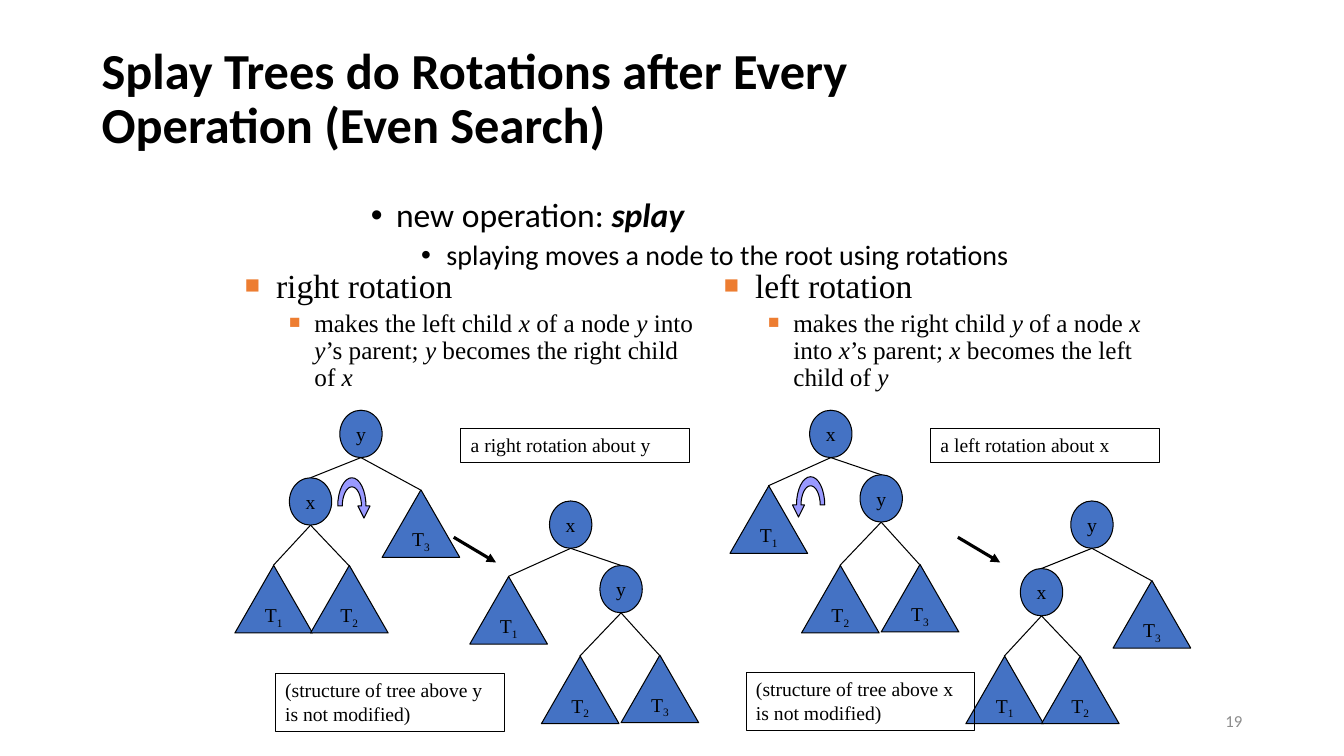
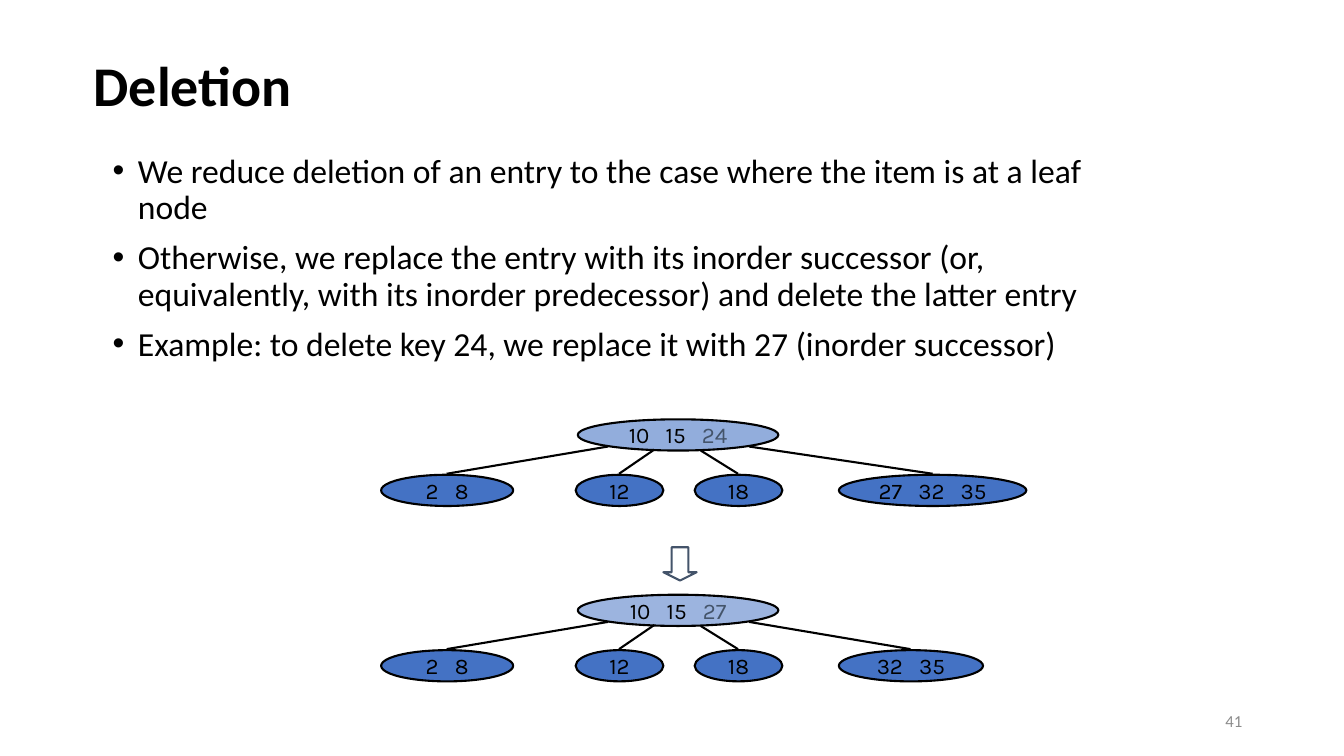
from itertools import cycle
from math import cos, pi, sin

from lxml.etree import SubElement
from pptx import Presentation
from pptx.dml.color import RGBColor
from pptx.enum.shapes import MSO_CONNECTOR as Connector, MSO_SHAPE as Shape
from pptx.enum.text import MSO_ANCHOR as Anchor, PP_ALIGN as Align
from pptx.oxml.ns import qn
from pptx.util import Pt

PX = 9144  # EMU per px, at 100 px to the inch

BLACK = RGBColor(0x00, 0x00, 0x00)
BLUE = RGBColor(0x44, 0x72, 0xC4)
ORANGE = RGBColor(0xED, 0x7D, 0x31)
LILAC = RGBColor(0x99, 0x99, 0xFF)
SLATE = RGBColor(0x44, 0x54, 0x6A)
GREY = RGBColor(0x8C, 0x8C, 0x8C)

# Bullets: character, left indent, hanging indent, colour, percent of text size
DOT = ("•", 25, 25, BLACK, 100)
SUB_DOT = ("•", 75, 25, BLACK, 100)
SQUARE = ("■", 31, 31, ORANGE, 75)
SUB_SQUARE = ("■", 69, 25, ORANGE, 75)

# Text styles: font, paragraph, bullet
SANS = {"name": "Calibri", "color": BLACK}
SERIF = {"name": "Times New Roman", "color": BLACK}
TIGHT = {"line_spacing": 0.9}
CENTRED = {"alignment": Align.CENTER}
LONG_TITLE = (SANS | {"size": Pt(36), "bold": True}, TIGHT, None)
TITLE = (SANS | {"size": Pt(40), "bold": True}, TIGHT, None)
BODY = (SANS | {"size": Pt(24)}, TIGHT | {"space_before": Pt(10)}, DOT)
SUB_BODY = (SANS | {"size": Pt(20)},
            TIGHT | {"space_before": Pt(5), "level": 1}, SUB_DOT)
ROTATION = (SERIF | {"size": Pt(24)}, {}, SQUARE)
SUB_ROTATION = (SERIF | {"size": Pt(18)},
                TIGHT | {"space_before": Pt(3.6), "level": 1}, SUB_SQUARE)
CAPTION = (SERIF | {"size": Pt(14)}, {"alignment": Align.LEFT}, None)
LABEL = (SERIF | {"size": Pt(14)}, CENTRED, None)
KEYS = ({"name": "Karla", "size": Pt(16), "color": BLACK}, CENTRED, None)
NUMBER = (SANS | {"size": Pt(12), "color": GREY},
          {"alignment": Align.RIGHT}, None)

# Accents for the marked parts of a text
ITALIC = {"italic": True}
BOLD_ITALIC = {"bold": True, "italic": True}
SUBSCRIPT = {"baseline": -25000}
GAP = {"spc": 780}
FADED = {"color": SLATE}


def write(box, lines, accents=(), wrap=True, anchor=Anchor.TOP):
    """Fill a box with (text, style) lines; parts between stars take the accents in turn."""
    frame = box.text_frame
    frame.word_wrap = wrap
    frame.vertical_anchor = anchor
    accent = cycle(accents)
    for index, (text, (font, layout, bullet)) in enumerate(lines):
        para = frame.add_paragraph() if index else frame.paragraphs[0]
        for name, value in layout.items():
            if index or name != "space_before":
                setattr(para, name, value)
        if bullet:
            sign, left, hang, color, percent = bullet
            props = para._p.get_or_add_pPr()
            props.set("marL", str(left * PX))
            props.set("indent", str(-hang * PX))
            tint = SubElement(props, qn("a:buClr"))
            SubElement(tint, qn("a:srgbClr"), val=str(color))
            SubElement(props, qn("a:buSzPct"), val=str(percent * 1000))
            SubElement(props, qn("a:buFont"), typeface="Arial")
            SubElement(props, qn("a:buChar"), char=sign)
        for part, words in enumerate(text.split("*")):
            look = font | next(accent) if part % 2 else font
            if not words:
                continue
            span = para.add_run()
            span.text = words
            for name, value in look.items():
                if name == "color":
                    span.font.color.rgb = value
                elif name in ("baseline", "spc"):
                    span._r.get_or_add_rPr().set(name, str(value))
                else:
                    setattr(span.font, name, value)


def draw(page, kind, at, fill=None, line=BLACK, weight=0.75):
    """Add a preset shape at left, top, width, height in px."""
    shape = page.shapes.add_shape(kind, *(PX * length for length in at))
    shape.shadow.inherit = False
    if fill is None:
        shape.fill.background()
    else:
        shape.fill.solid()
        shape.fill.fore_color.rgb = fill
    shape.line.color.rgb = line
    shape.line.width = Pt(weight)
    return shape


deck = Presentation()
deck.slide_width, deck.slide_height = 1333 * PX, 750 * PX
splay, deletion = (deck.slides.add_slide(deck.slide_layouts[6]) for _ in range(2))

# Titles, body text and slide numbers
texts = [
    (splay, (91, 37, 883, 125), Anchor.MIDDLE, (),
     [("Splay Trees do Rotations after Every Operation (Even Search)", LONG_TITLE)]),
    (splay, (358, 192, 850, 88), Anchor.TOP, [BOLD_ITALIC],
     [("new operation: *splay*", BODY),
      ("splaying moves a node to the root using rotations", SUB_BODY)]),
    (splay, (233, 258, 475, 133), Anchor.TOP, [ITALIC],
     [("right rotation", ROTATION),
      ("makes the left child *x* of a node *y* into *y*’s parent; "
       "*y* becomes the right child of *x*", SUB_ROTATION)]),
    (splay, (708, 258, 475, 133), Anchor.TOP, [ITALIC],
     [("left rotation", ROTATION),
      ("makes the right child *y* of a node *x* into *x*’s parent; "
       "*x* becomes the left child of *y*", SUB_ROTATION)]),
    (deletion, (83, 25, 852, 125), Anchor.MIDDLE, (), [("Deletion", TITLE)]),
    (deletion, (102, 148, 1026, 249), Anchor.TOP, (),
     [("We reduce deletion of an entry to the case where the item is at a leaf node", BODY),
      ("Otherwise, we replace the entry with its inorder successor (or, equivalently, "
       "with its inorder predecessor) and delete the latter entry", BODY),
      ("Example: to delete key 24, we replace it with 27 (inorder successor)", BODY)]),
]
for page, number in ((splay, "19"), (deletion, "41")):
    texts.append((page, (942, 695, 300, 40), Anchor.MIDDLE, (), [(number, NUMBER)]))
for page, at, anchor, accents, lines in texts:
    box = page.shapes.add_textbox(*(PX * length for length in at))
    write(box, lines, accents, anchor=anchor)

edges = []  # page, start, end, weight, arrowhead

# Binary trees: label, parent index, offset from the root
LEFT_HEAVY = [("y", None, 0, 0), ("x", 0, -50, 67), ("T*1*", 1, -104, 154),
              ("T*2*", 1, -29, 154), ("T*3*", 0, 42, 79)]
RIGHT_HEAVY = [("x", None, 0, 0), ("y", 0, 50, 64), ("T*1*", 0, -79, 75),
               ("T*2*", 1, -8, 154), ("T*3*", 1, 71, 153)]
NODE_WIDTH, NODE_HEIGHT = 42, 47
SUBTREE_WIDTH, SUBTREE_HEIGHT = 77, 67
for tree, root_left, root_top in ((LEFT_HEAVY, 337, 407), (RIGHT_HEAVY, 545, 497),
                                  (LEFT_HEAVY, 1062, 497), (RIGHT_HEAVY, 803, 407)):
    for label, parent, right, down in tree:
        left, top = root_left + right, root_top + down
        if label.startswith("T"):
            kind, width, height = Shape.ISOSCELES_TRIANGLE, SUBTREE_WIDTH, SUBTREE_HEIGHT
        else:
            kind, width, height = Shape.OVAL, NODE_WIDTH, NODE_HEIGHT
        node = draw(splay, kind, (left, top, width, height), BLUE)
        write(node, [(label, LABEL)], [SUBSCRIPT], wrap=False, anchor=Anchor.MIDDLE)
        if parent is not None:
            _, _, parent_right, parent_down = tree[parent]
            start = (root_left + parent_right + NODE_WIDTH // 2,
                     root_top + parent_down + NODE_HEIGHT)
            edges.append((splay, start, (left + width // 2, top), 0.75, False))

for left in (450, 950):
    edges.append((splay, (left, 533), (left + 42, 558), 2.25, True))

# Curved rotation arrows, the second one mirrored
STEPS = 16
angles = [pi * step / STEPS for step in range(STEPS + 1)]
outline = [(9.5 * cos(angle), -19 * sin(angle)) for angle in angles]
outline += [(-14 * cos(angle), -28 * sin(angle)) for angle in angles]
outline += [(18, 0), (12, 12), (6, 0)]
for center, middle, side in ((349, 502, 1), (804, 501, -1)):
    points = [(PX * (center + side * x), PX * (middle + y)) for x, y in outline]
    builder = splay.shapes.build_freeform(*points[0])
    builder.add_line_segments(points[1:], close=True)
    turn = builder.convert_to_shape()
    turn.shadow.inherit = False
    turn.fill.solid()
    turn.fill.fore_color.rgb = LILAC
    turn.line.color.rgb = BLACK
    turn.line.width = Pt(0.75)

for text, left, top, height in (
        ("(structure of tree above y is not modified)", 273, 668, 58),
        ("(structure of tree above x is not modified)", 740, 667, 58),
        ("a right rotation about y", 457, 425, 34),
        ("a left rotation about x", 923, 425, 34)):
    note = draw(splay, Shape.RECTANGLE, (left, top, 227, height))
    write(note, [(text, CAPTION)])

# Multi-way trees before and after the deletion
KEY_HEIGHT = 31
EDGE_STARTS = [(603, 27), (649, 30), (695, 31), (743, 27)]
for root_top, key, opacity, last_keys, last_width in (
        (416, "24", 58, "27* *32* *35", 186), (590, "27", 53, "32* *35", 143)):
    root = draw(deletion, Shape.OVAL, (573, root_top, 199, KEY_HEIGHT), BLUE, weight=1.5)
    tint = root._element.spPr.find(qn("a:solidFill"))[0]
    SubElement(tint, qn("a:alpha"), val=str(opacity * 1000))
    write(root, [(f"10* *15* **{key}*", KEYS)], [GAP, GAP, FADED],
          wrap=False, anchor=Anchor.MIDDLE)
    leaves = [("2* *8", 378, 131), ("12", 571, 87), ("18", 689, 87),
              (last_keys, 832, last_width)]
    for (keys, left, width), (start, drop) in zip(leaves, EDGE_STARTS):
        leaf = draw(deletion, Shape.OVAL, (left, root_top + 55, width, KEY_HEIGHT),
                    BLUE, weight=1.5)
        write(leaf, [(keys, KEYS)], [GAP], wrap=False, anchor=Anchor.MIDDLE)
        edges.append((deletion, (start, root_top + drop),
                      (left + width // 2, root_top + 54), 1.5, False))

down_arrow = draw(deletion, Shape.DOWN_ARROW, (658, 543, 33, 33), line=SLATE, weight=1.5)
down_arrow.adjustments[1] = 0.25

for page, start, end, weight, arrowhead in edges:
    edge = page.shapes.add_connector(
        Connector.STRAIGHT, *(PX * length for length in start + end))
    edge.line.color.rgb = BLACK
    edge.line.width = Pt(weight)
    if arrowhead:
        SubElement(edge.line._get_or_add_ln(), qn("a:tailEnd"), type="triangle")
    SubElement(edge._element.spPr, qn("a:effectLst"))

deck.save("out.pptx")
